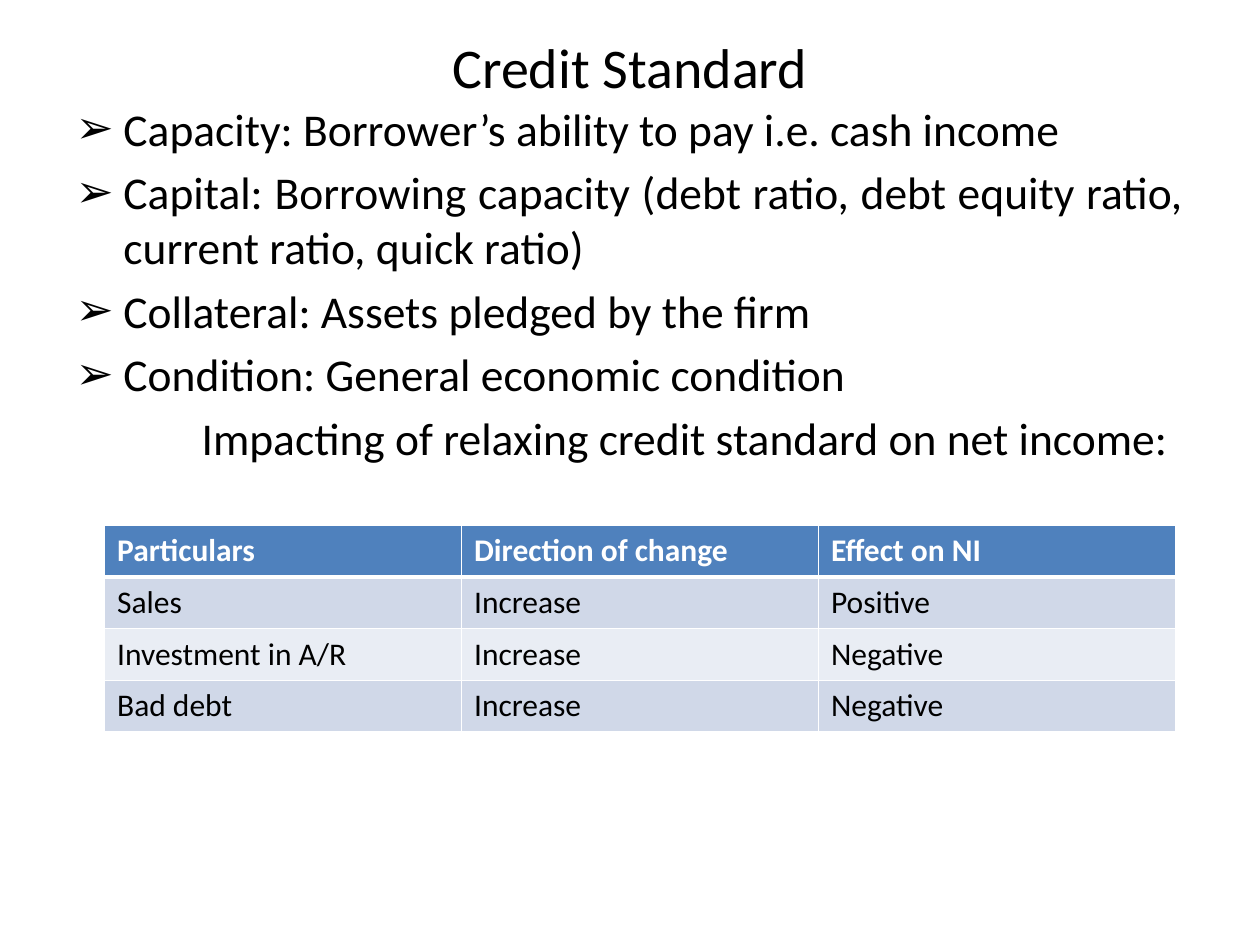
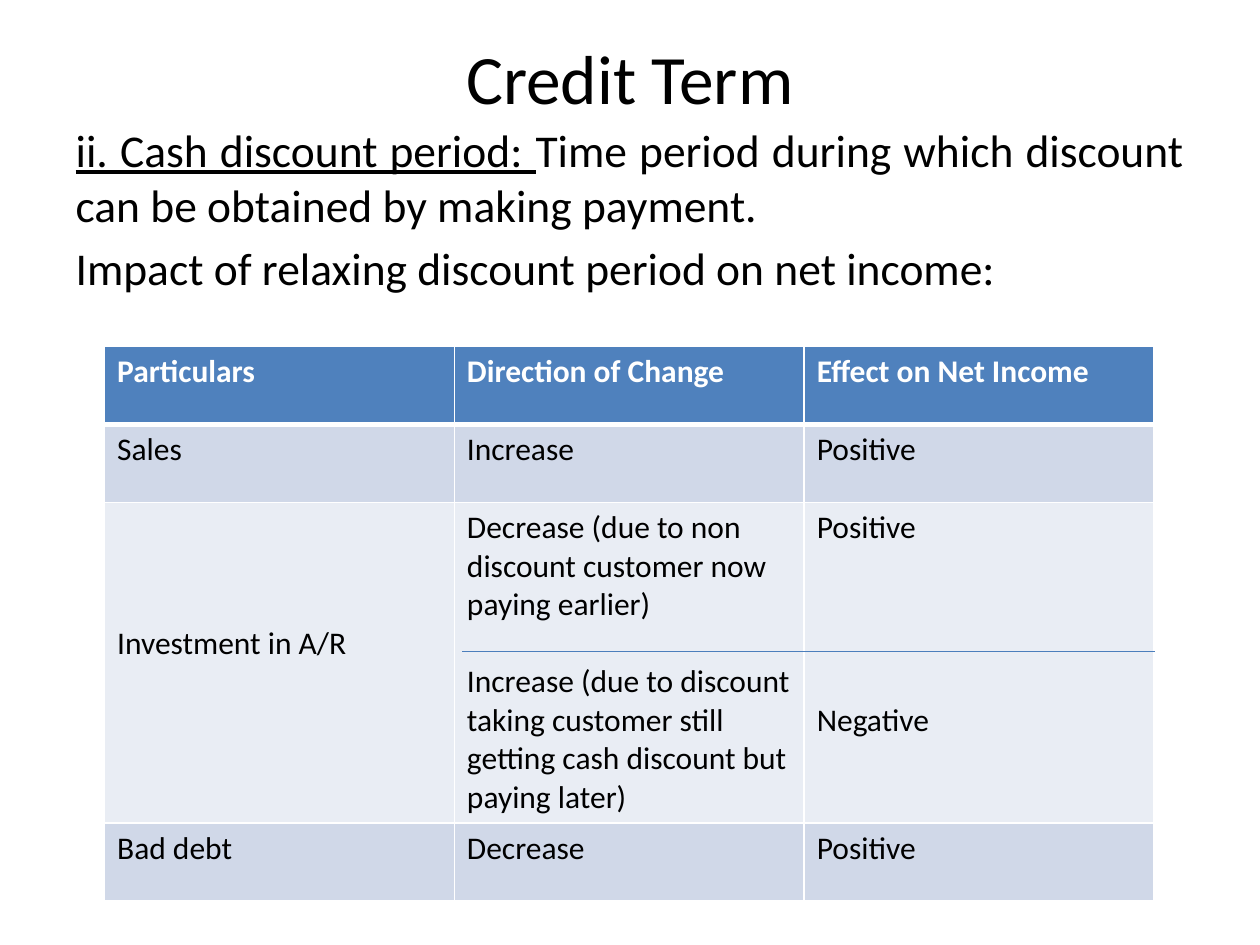
from lxml import etree
from pptx import Presentation
from pptx.dml.color import RGBColor
from pptx.enum.shapes import MSO_CONNECTOR
from pptx.enum.text import MSO_ANCHOR, MSO_AUTO_SIZE, PP_ALIGN
from pptx.oxml.ns import qn
from pptx.util import Emu, Inches, Pt

CENTER, JUSTIFY, LEFT = PP_ALIGN.CENTER, PP_ALIGN.JUSTIFY, PP_ALIGN.LEFT
MIDDLE, TOP = MSO_ANCHOR.MIDDLE, MSO_ANCHOR.TOP
NO_FIT = MSO_AUTO_SIZE.NONE
STRAIGHT = MSO_CONNECTOR.STRAIGHT

BLACK = RGBColor(0x00, 0x00, 0x00)
WHITE = RGBColor(0xFF, 0xFF, 0xFF)
HEADER_BLUE = RGBColor(0x4F, 0x81, 0xBD)
BAND_DARK = RGBColor(0xD0, 0xD8, 0xE8)
BAND_LIGHT = RGBColor(0xE9, 0xED, 0xF4)
RULE_BLUE = RGBColor(0x4B, 0x7E, 0xBC)

FONT = "Calibri"
MARGIN, TITLE_TOP, BODY_BOTTOM = 0.5, 0.3, 6.7
TABLE_LEFT = 0.83
BODY_SIZE, CELL_SIZE = 26, 18
CELL_LINE = Pt(22)  # height of one line of table text

deck = Presentation()
deck.slide_width, deck.slide_height = Inches(10), Inches(7.5)
TEXT_WIDTH = deck.slide_width - 2 * Inches(MARGIN)


def style_text(para, size, color, align, bold=False):
    para.alignment = align
    para.font.name, para.font.size, para.font.bold = FONT, Pt(size), bold
    para.font.color.rgb = color


def add_border(cell, side, position, points):
    line = etree.Element(qn("a:ln" + side), w=str(Pt(points)))
    fill = etree.SubElement(line, qn("a:solidFill"))
    etree.SubElement(fill, qn("a:srgbClr"), val=str(WHITE))
    cell._tc.get_or_add_tcPr().insert(position, line)


# Each list item: left indent, bullet, spans of (text, underlined)
pages = [
    {
        "title": "Credit Standard", "title size": 32, "title height": 0.45,
        "items": [
            (0.38, "➢", [("Capacity: Borrower’s ability to pay i.e. cash income", False)]),
            (0.38, "➢", [("Capital: Borrowing capacity (debt ratio, debt equity ratio, "
                          "current ratio, quick ratio)", False)]),
            (0.38, "➢", [("Collateral: Assets pledged by the firm", False)]),
            (0.38, "➢", [("Condition: General economic condition", False)]),
            (1, None, [("Impacting of relaxing credit standard on net income:", False)]),
        ],
        "table top": 4.17, "table width": 8.5, "row heights": [0.41] * 4,
        "rows": [
            ["Particulars", "Direction of change", "Effect on NI"],
            ["Sales", "Increase", "Positive"],
            ["Investment in A/R", "Increase", "Negative"],
            ["Bad debt", "Increase", "Negative"],
        ],
    },
    {
        "title": "Credit Term", "title size": 39.6, "title height": 0.62,
        "items": [
            (0, None, [("ii. Cash discount period: ", True),
                       ("Time period during which discount can be obtained "
                        "by making payment.", False)]),
            (0, None, [("Impact of relaxing discount period on net income:", False)]),
        ],
        "table top": 2.75, "table width": 8.33, "row heights": [0.62, 0.62, 2.54, 0.62],
        "rows": [
            ["Particulars", "Direction of Change", "Effect on Net Income"],
            ["Sales", "Increase", "Positive"],
            ["Investment in A/R",
             "Decrease (due to non discount customer now paying earlier)\n"
             "Increase (due to discount taking customer still getting cash discount "
             "but paying later)",
             "Positive\nNegative"],
            ["Bad debt", "Decrease", "Positive"],
        ],
    },
]

for content in pages:
    page = deck.slides.add_slide(deck.slide_layouts[1])

    # Title
    title, body = page.placeholders
    title.left, title.top = Inches(MARGIN), Inches(TITLE_TOP)
    title.width, title.height = TEXT_WIDTH, Inches(content["title height"])
    title.text_frame.text = content["title"]
    title.text_frame.auto_size = NO_FIT
    title.text_frame.vertical_anchor = MIDDLE
    style_text(title.text_frame.paragraphs[0], content["title size"], BLACK, CENTER)

    # List
    body.left, body.top = title.left, title.top + title.height
    body.width, body.height = TEXT_WIDTH, Inches(BODY_BOTTOM) - body.top
    body.text_frame.auto_size = NO_FIT
    for index, (indent, bullet, spans) in enumerate(content["items"]):
        para = body.text_frame.paragraphs[0] if index == 0 else body.text_frame.add_paragraph()
        for text, underlined in spans:
            span = para.add_run()
            span.text = text
            span.font.underline = underlined
        props = para._p.get_or_add_pPr()
        props.set("marL", str(Inches(indent)))
        props.set("indent", str(-Inches(indent) if bullet else 0))
        if bullet:
            etree.SubElement(props, qn("a:buChar"), char=bullet)
        else:
            etree.SubElement(props, qn("a:buNone"))
        style_text(para, BODY_SIZE, BLACK, JUSTIFY)

    # Table
    rows, heights = content["rows"], content["row heights"]
    frame = page.shapes.add_table(
        len(rows), len(rows[0]), Inches(TABLE_LEFT), Inches(content["table top"]),
        Inches(content["table width"]), Inches(sum(heights)))
    table = frame.table
    for row_index, row in enumerate(rows):
        is_header = row_index == 0
        table.rows[row_index].height = Inches(heights[row_index])
        for column_index, text in enumerate(row):
            cell = table.cell(row_index, column_index)
            cell.text = text
            cell.vertical_anchor = TOP
            for para in cell.text_frame.paragraphs:
                style_text(para, CELL_SIZE, WHITE if is_header else BLACK, LEFT, is_header)
            cell.fill.solid()
            cell.fill.fore_color.rgb = (
                HEADER_BLUE if is_header else BAND_DARK if row_index % 2 else BAND_LIGHT)
            for position, side in enumerate("LRTB"):
                thick = (is_header and side == "B") or (row_index == 1 and side == "T")
                add_border(cell, side, position, 3 if thick else 1)

# Receivables row of the last table: two cases, parted by a rule
label, direction, effect = (table.cell(2, column) for column in range(3))
label.margin_top = Emu(label.margin_top + 3 * CELL_LINE)
direction.text_frame.paragraphs[1].space_before = CELL_LINE
effect.text_frame.paragraphs[1].space_before = Pt(4 * CELL_LINE.pt)

rule = page.shapes.add_connector(STRAIGHT, Inches(3.67), Inches(5.17), Inches(9.17), Inches(5.17))
rule.line.color.rgb = RULE_BLUE
rule.line.width = Pt(0.75)
etree.SubElement(rule._element.spPr, qn("a:effectLst"))

deck.save("out.pptx")
